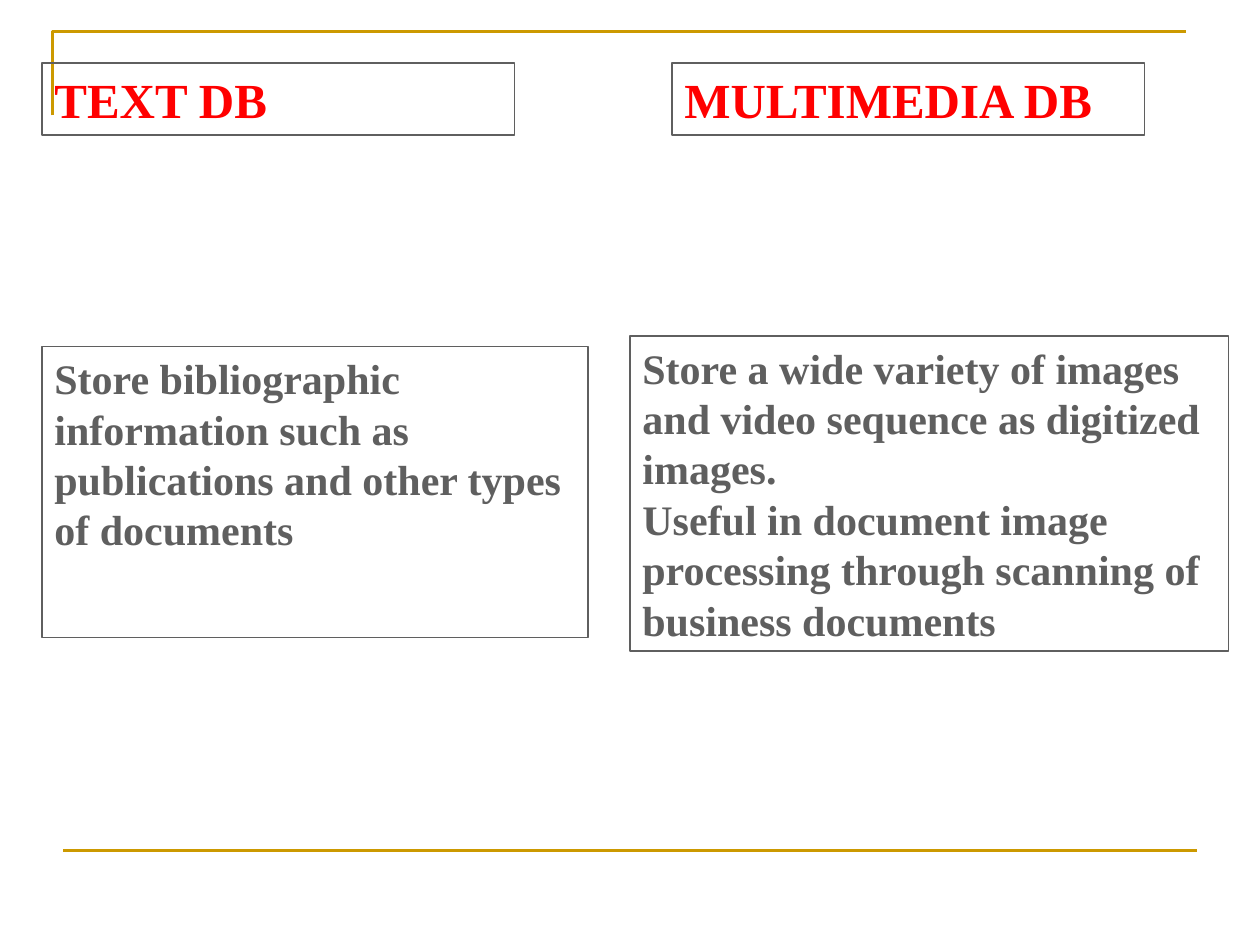
from lxml.etree import SubElement
from pptx import Presentation
from pptx.dml.color import RGBColor
from pptx.enum.shapes import MSO_CONNECTOR, MSO_SHAPE
from pptx.enum.text import MSO_ANCHOR, PP_ALIGN
from pptx.oxml.ns import qn
from pptx.util import Inches, Pt

GOLD, GREY, RED = "CC9900", "5F5F5F", "FF0000"
FONT = "Times New Roman"
COLUMNS, ROWS = 120, 90  # grid cells of 1/12 inch


def color(hex_string):
    return RGBColor.from_string(hex_string)


class SlideBuilder:
    def __init__(self, deck):
        self.page = deck.slides.add_slide(deck.slide_layouts[6])
        self.cell_width = deck.slide_width / COLUMNS
        self.cell_height = deck.slide_height / ROWS

    def x(self, columns):
        return round(columns * self.cell_width)

    def y(self, rows):
        return round(rows * self.cell_height)

    def outline(self, shape, hex_string, width):
        shape.line.color.rgb = color(hex_string)
        shape.line.width = Pt(width)

    def bracket(self, points):
        corners = [(self.x(column), self.y(row)) for column, row in points]
        builder = self.page.shapes.build_freeform(*corners[0])
        builder.add_line_segments(corners[1:], close=False)
        shape = builder.convert_to_shape()
        shape.fill.background()
        shape.shadow.inherit = False
        self.outline(shape, GOLD, 1.5)

    def rule(self, left, right, row):
        line = self.page.shapes.add_connector(
            MSO_CONNECTOR.STRAIGHT, self.x(left), self.y(row), self.x(right), self.y(row))
        self.outline(line, GOLD, 1.5)
        SubElement(line._element.spPr, qn("a:effectLst"))

    def text_box(self, left, top, width, height, texts, size, text_color):
        box = self.page.shapes.add_shape(
            MSO_SHAPE.RECTANGLE, self.x(left), self.y(top), self.x(width), self.y(height))
        box.fill.background()
        box.shadow.inherit = False
        self.outline(box, GREY, 1)
        frame = box.text_frame
        frame.word_wrap = True
        frame.vertical_anchor = MSO_ANCHOR.TOP
        for index, text in enumerate(texts):
            para = frame.add_paragraph() if index else frame.paragraphs[0]
            para.text = text
            para.alignment = PP_ALIGN.LEFT
            para.font.name = FONT
            para.font.size = Pt(size)
            para.font.bold = True
            para.font.color.rgb = color(text_color)

    def heading(self, left, text):
        self.text_box(left, 6, 45, 6.84, [text], 28, RED)

    def body(self, left, top, width, height, *texts):
        self.text_box(left, top, width, height, texts, 24, GREY)


def main():
    deck = Presentation()
    deck.slide_width, deck.slide_height = Inches(10), Inches(7.5)
    slide = SlideBuilder(deck)

    # Gold frame lines
    slide.bracket([(5, 11), (5, 3), (113, 3)])
    slide.rule(6, 114, 81)

    # Column headings
    slide.heading(4, "TEXT DB")
    slide.heading(64, "MULTIMEDIA DB")

    # Comparison texts
    slide.body(4, 33, 52, 27.72,
               "Store bibliographic information such as publications "
               "and other types of documents")
    slide.body(60, 32, 57, 30,
               "Store a wide variety of images and video sequence as digitized images.",
               "Useful in document image processing through scanning of business documents")

    deck.save("out.pptx")


if __name__ == "__main__":
    main()
